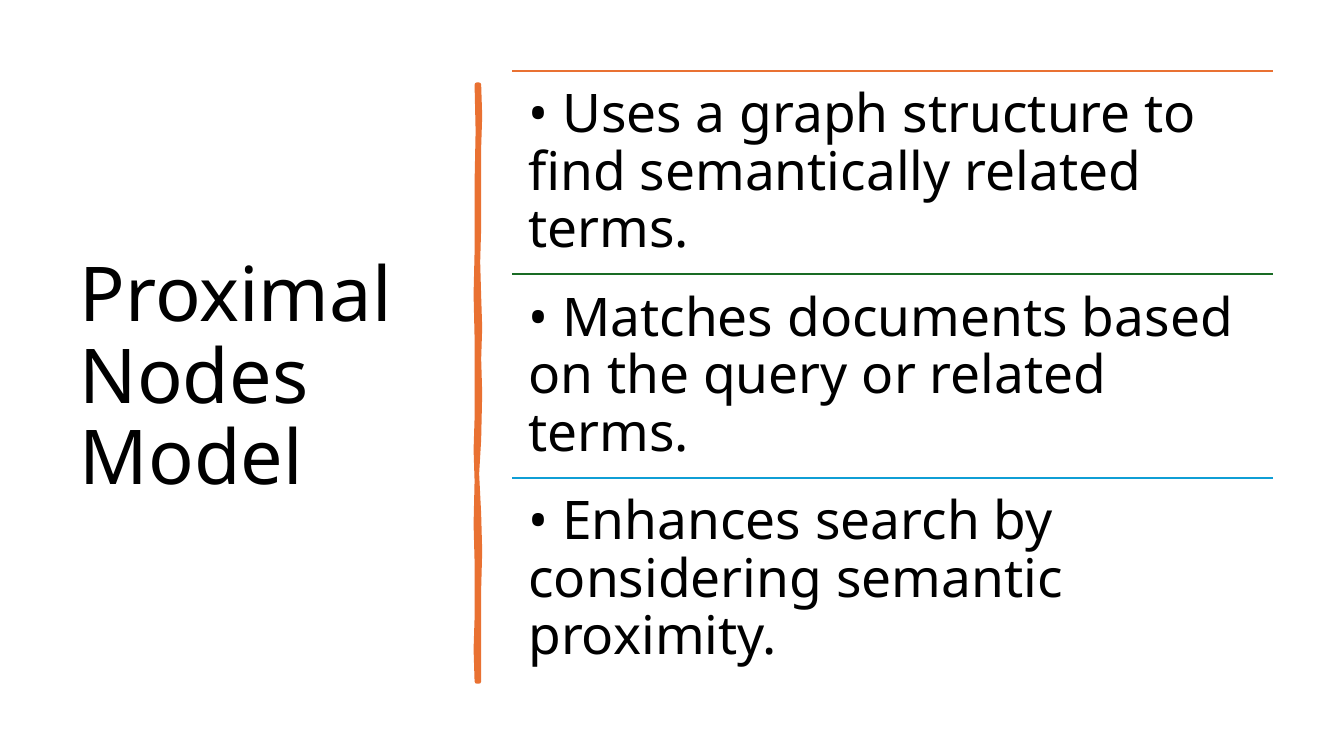
from pptx import Presentation
from pptx.dml.color import RGBColor as RGB
from pptx.enum.shapes import MSO_CONNECTOR as Link
from pptx.enum.text import MSO_ANCHOR as Anchor, PP_ALIGN as Align
from pptx.oxml.ns import qn
from pptx.util import Pt
from lxml.etree import SubElement as Sub

PX = 9144
ORANGE, GREEN, BLUE = "E97132", "196B24", "0F9ED5"
LEFT, TOP, WIDTH, STEP = 508, 70, 755, 202
POINTS = [
    (ORANGE, "• Uses a graph structure to find semantically related terms."),
    (GREEN, "• Matches documents based on the query or related terms."),
    (BLUE, "• Enhances search by considering semantic proximity."),
]
STROKE = [
    (475, 84), (476, 115), (475, 146), (475, 226), (474, 260), (475, 294),
    (476, 325), (475, 356), (476, 390), (475, 436), (473, 470), (475, 510),
    (476, 547), (475, 584), (475, 676), (473, 676), (472, 644), (473, 613),
    (473, 557), (472, 520), (473, 477), (472, 446), (473, 415), (473, 335),
    (472, 292), (473, 250), (473, 181), (474, 130), (473, 84),
]


def color(code):
    return RGB.from_string(code)


def write(frame, text, font="Noto Sans", size=38, ink="000000",
          pad=(10, 5), anchor=Anchor.TOP, space=0.9):
    frame.word_wrap = True
    frame.vertical_anchor = anchor
    frame.margin_left = frame.margin_right = pad[0] * PX
    frame.margin_top = frame.margin_bottom = pad[1] * PX
    para = frame.paragraphs[0]
    para.alignment = Align.LEFT
    para.line_spacing = space
    run = para.add_run()
    run.text = text
    run.font.name = font
    run.font.size = Pt(size)
    run.font.color.rgb = color(ink)


class Page:
    def __init__(self, deck):
        self.slide = deck.slides.add_slide(deck.slide_layouts[5])
        self.shapes = self.slide.shapes

    def title(self, text, x, y, w, h):
        shape = self.shapes.title
        shape.left, shape.top, shape.width, shape.height = (
            n * PX for n in (x, y, w, h))
        write(shape.text_frame, text, size=54, anchor=Anchor.MIDDLE)

    def text(self, text, x, y, w, h):
        box = self.shapes.add_textbox(x * PX, y * PX, w * PX, h * PX)
        write(box.text_frame, text, pad=(16, 16))

    def rule(self, x, y, w, ink):
        line = self.shapes.add_connector(
            Link.STRAIGHT, x * PX, y * PX, (x + w) * PX, y * PX)
        line.line.color.rgb = color(ink)
        line.line.width = Pt(1.5)
        Sub(line._element.spPr, qn("a:effectLst"))

    def brush(self, dots, ink):
        path = self.shapes.build_freeform(*dots[0], scale=PX)
        path.add_line_segments(dots[1:], close=True)
        shape = path.convert_to_shape()
        shape.shadow.inherit = False
        shape.fill.solid()
        shape.fill.fore_color.rgb = color(ink)
        shape.line.color.rgb = color(ink)
        shape.line.width = Pt(3.25)


def main():
    deck = Presentation()
    deck.slide_width, deck.slide_height = 1333 * PX, 750 * PX
    page = Page(deck)
    page.title("Proximal Nodes Model", 69, 70, 374, 611)
    page.brush(STROKE, ORANGE)
    for row, (ink, text) in enumerate(POINTS):
        y = TOP + row * STEP
        page.rule(LEFT, y, WIDTH, ink)
        page.text(text, LEFT, y, WIDTH, STEP)
    deck.save("out.pptx")


if __name__ == "__main__":
    main()
